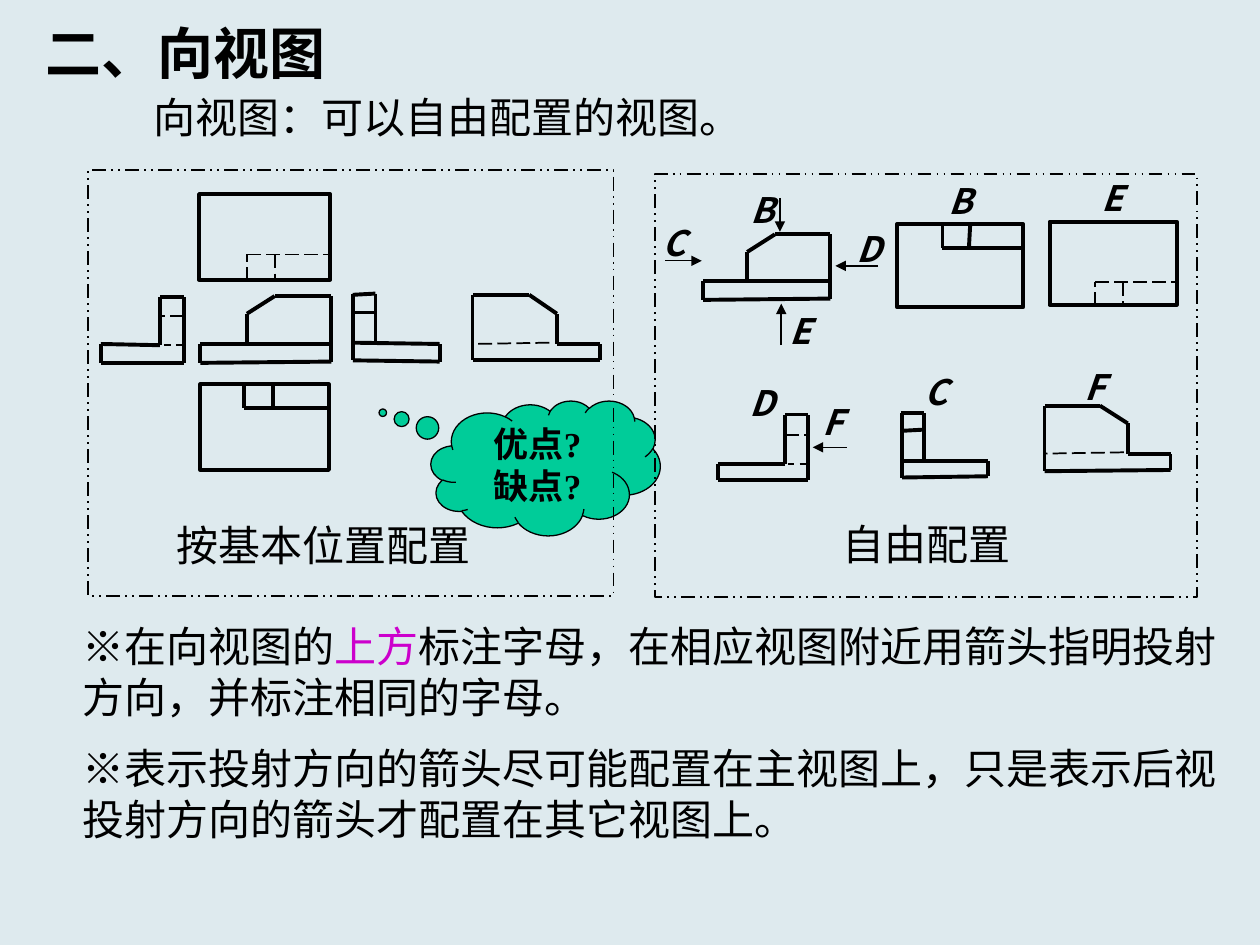
import pptx
import pptx.util
import pptx.dml.color
import pptx.enum.dml
import pptx.enum.shapes
import pptx.enum.text
import pptx.oxml
import pptx.oxml.ns

Inches, Pt = pptx.util.Inches, pptx.util.Pt
RGB = pptx.dml.color.RGBColor.from_string
DASH = pptx.enum.dml.MSO_LINE
SHAPE = pptx.enum.shapes.MSO_SHAPE
ALIGN = pptx.enum.text.PP_ALIGN
SPACE = pptx.oxml.ns.nsdecls("a")

theme = dict(paper="DEEAEE", ink="000000", mark="CC00CC", cloud="00CC99",
             title=32, body=24, label=20, bold=2.25, thin=1, fine=0.75,
             sans="Noto Sans CJK SC", serif="Times New Roman")

deck = pptx.Presentation()
deck.slide_width, deck.slide_height = Inches(10), Inches(7.5)
slide = deck.slides.add_slide(deck.slide_layouts[5])
slide.background.fill.solid()
slide.background.fill.fore_color.rgb = RGB(theme["paper"])
shapes = slide.shapes


def write(box, text, size=theme["body"], face=theme["sans"], bold=False,
          slant=False, align=ALIGN.LEFT, wrap=True, lead=1.2):
    """Fill a box; newlines part paragraphs and bars enclose marked words."""
    frame = box.text_frame
    frame.word_wrap = wrap
    frame.vertical_anchor = pptx.enum.text.MSO_ANCHOR.MIDDLE
    for i, row in enumerate(text.split("\n")):
        para = frame.add_paragraph() if i else frame.paragraphs[0]
        para.alignment = align
        para.line_spacing = Pt(round(size * lead))
        for j, part in enumerate(row.split("|")):
            run = para.add_run()
            run.text = part
            font = run.font
            font.size, font.name = Pt(size), face
            font.bold, font.italic = bold, slant
            font.color.rgb = RGB(theme["mark" if j % 2 else "ink"])
            run._r.get_or_add_rPr().append(pptx.oxml.parse_xml(
                '<a:ea %s typeface="%s"/>' % (SPACE, theme["sans"])))


def draw(points, width=theme["bold"], dash=None, arrow=False):
    """Join successive points with straight lines."""
    for start, end in zip(points, points[1:]):
        line = shapes.add_connector(pptx.enum.shapes.MSO_CONNECTOR.STRAIGHT,
                                    *map(Inches, start + end))
        line.line.color.rgb = RGB(theme["ink"])
        line.line.width = Pt(width)
        if dash:
            line.line.dash_style = dash
        if arrow:
            line.get_or_add_ln().append(
                pptx.oxml.parse_xml('<a:tailEnd %s type="triangle"/>' % SPACE))
        line._element.spPr.append(pptx.oxml.parse_xml("<a:effectLst %s/>" % SPACE))


# Title
title = shapes.title
title.left, title.top, title.width, title.height = map(Inches, (0.26, 0.04, 3.64, 0.64))
write(title, "二、向视图", size=theme["title"], face=theme["serif"], bold=True, lead=1.45)

# Thought cloud
cloud = shapes.add_shape(SHAPE.CLOUD_CALLOUT, *map(Inches, (3.42, 3.18, 1.82, 1.07)))
cloud.adjustments[0], cloud.adjustments[1] = -0.71, -0.41
cloud.shadow.inherit = False
cloud.fill.solid()
cloud.fill.fore_color.rgb = RGB(theme["cloud"])
cloud.line.color.rgb = RGB(theme["ink"])
cloud.line.width = Pt(theme["fine"])
write(cloud, "优点?\n缺点?", size=theme["label"], face=theme["serif"], bold=True,
      align=ALIGN.CENTER)

# Definition, captions and rules
for left, top, width, height, text in [
    (1.12, 0.67, 4.91, 0.51, "向视图：可以自由配置的视图。"),
    (1.3, 4.07, 2.56, 0.51, "按基本位置配置"),
    (6.59, 4.06, 1.55, 0.51, "自由配置"),
    (0.56, 4.87, 9.49, 0.91,
     "※在向视图的|上方|标注字母，在相应视图附近用箭头指明投射方向，并标注相同的字母。"),
    (0.56, 5.84, 9.43, 0.91,
     "※表示投射方向的箭头尽可能配置在主视图上，只是表示后视投射方向的箭头才配置在其它视图上。"),
]:
    box = shapes.add_textbox(*map(Inches, (left, top, width, height)))
    write(box, text, wrap=height > 0.6)

# Panel frames and rectangular views
panel = (theme["thin"], DASH.DASH_DOT_DOT)
view = (theme["bold"], None)
for place, (width, dash) in [
    ((0.7, 1.35, 4.17, 3.38), panel), ((5.2, 1.38, 4.3, 3.36), panel),
    ((1.58, 1.54, 1.04, 0.68), view), ((1.59, 3.05, 1.02, 0.68), view),
    ((7.12, 1.78, 1, 0.66), view), ((8.33, 1.76, 1.01, 0.66), view),
]:
    rect = shapes.add_shape(SHAPE.RECTANGLE, *map(Inches, place))
    rect.shadow.inherit = False
    rect.fill.background()
    rect.line.color.rgb = RGB(theme["ink"])
    rect.line.width = Pt(width)
    if dash:
        rect.line.dash_style = dash

# Visible edges, left panel then right panel
for points in [
    # Front view
    [(1.59, 2.73), (1.59, 2.88), (2.63, 2.87), (2.63, 2.35), (2.18, 2.35),
     (1.96, 2.49), (1.96, 2.73)],
    [(1.59, 2.73), (2.63, 2.73)],
    # Top view notch
    [(1.94, 3.05), (1.94, 3.24), (2.62, 3.24)],
    [(2.17, 3.05), (2.17, 3.24)],
    # Back view
    [(3.75, 2.34), (3.75, 2.86), (4.76, 2.86), (4.76, 2.73), (4.42, 2.73),
     (4.42, 2.49), (4.2, 2.34), (3.75, 2.34)],
    # Left view
    [(2.8, 2.33), (2.8, 2.86), (3.49, 2.87), (3.49, 2.73), (2.8, 2.72)],
    [(2.8, 2.34), (2.98, 2.33), (2.98, 2.73)],
    [(2.8, 2.48), (2.98, 2.48)],
    # Right view
    [(0.8, 2.73), (0.8, 2.88), (1.46, 2.88), (1.46, 2.36), (1.27, 2.36),
     (1.27, 2.74), (0.8, 2.73)],
    # Free front view
    [(5.58, 2.23), (5.58, 2.38), (6.59, 2.37), (6.59, 1.86), (6.15, 1.86),
     (5.93, 2), (5.93, 2.23)],
    [(5.58, 2.23), (6.59, 2.23)],
    # View B notch
    [(7.48, 1.78), (7.48, 1.97), (8.13, 1.97)],
    [(7.7, 1.78), (7.69, 1.97)],
    # View C
    [(7.16, 3.28), (7.16, 3.79), (7.84, 3.78), (7.84, 3.66), (7.15, 3.66)],
    [(7.15, 3.28), (7.33, 3.28), (7.33, 3.65)],
    [(7.15, 3.42), (7.33, 3.41)],
    # View D
    [(5.7, 3.68), (5.7, 3.81), (6.41, 3.81), (6.41, 3.29), (6.23, 3.29),
     (6.23, 3.68), (5.7, 3.68)],
    # View F
    [(8.29, 3.22), (8.29, 3.74), (9.29, 3.73), (9.29, 3.6), (8.95, 3.6),
     (8.95, 3.36), (8.73, 3.22), (8.29, 3.22)],
]:
    draw(points)

# Hidden edges
for points in [
    [(1.96, 2.23), (1.96, 2.02), (2.62, 2.02)],
    [(2.18, 2.02), (2.18, 2.22)],
    [(4.36, 2.72), (3.75, 2.73)],
    [(1.46, 2.51), (1.27, 2.51)],
    [(8.69, 2.43), (8.69, 2.24), (9.35, 2.24)],
    [(8.91, 2.24), (8.91, 2.43)],
    [(8.92, 3.59), (8.29, 3.6)],
    [(6.23, 3.45), (6.42, 3.45)],
]:
    draw(points, theme["thin"], DASH.LONG_DASH)
for points in [[(1.3, 2.74), (1.46, 2.74)], [(6.25, 3.68), (6.4, 3.68)]]:
    draw(points, theme["thin"], DASH.DASH)

# Direction arrows
for start, end, width in [
    ((6.2, 2.74), (6.2, 2.41), theme["thin"]),
    ((6.97, 2.11), (6.63, 2.11), theme["thin"]),
    ((6.19, 1.57), (6.19, 1.84), theme["fine"]),
    ((5.28, 2.07), (5.57, 2.07), theme["fine"]),
    ((6.72, 3.55), (6.45, 3.55), theme["fine"]),
]:
    draw([start, end], width, arrow=True)

# View letters, placed by centre and top
for name, mid, top in [
    ("C", 5.35, 1.71), ("D", 6.9, 1.76), ("B", 6.05, 1.45), ("E", 6.35, 2.41),
    ("F", 6.61, 3.13), ("B", 7.62, 1.38), ("E", 8.83, 1.35), ("D", 6.05, 2.98),
    ("C", 7.43, 2.89), ("F", 8.69, 2.85),
]:
    box = shapes.add_textbox(*map(Inches, (mid - 0.2, top, 0.4, 0.43)))
    write(box, name, size=theme["label"], bold=True, slant=True,
          align=ALIGN.CENTER, wrap=False)

deck.save("out.pptx")
